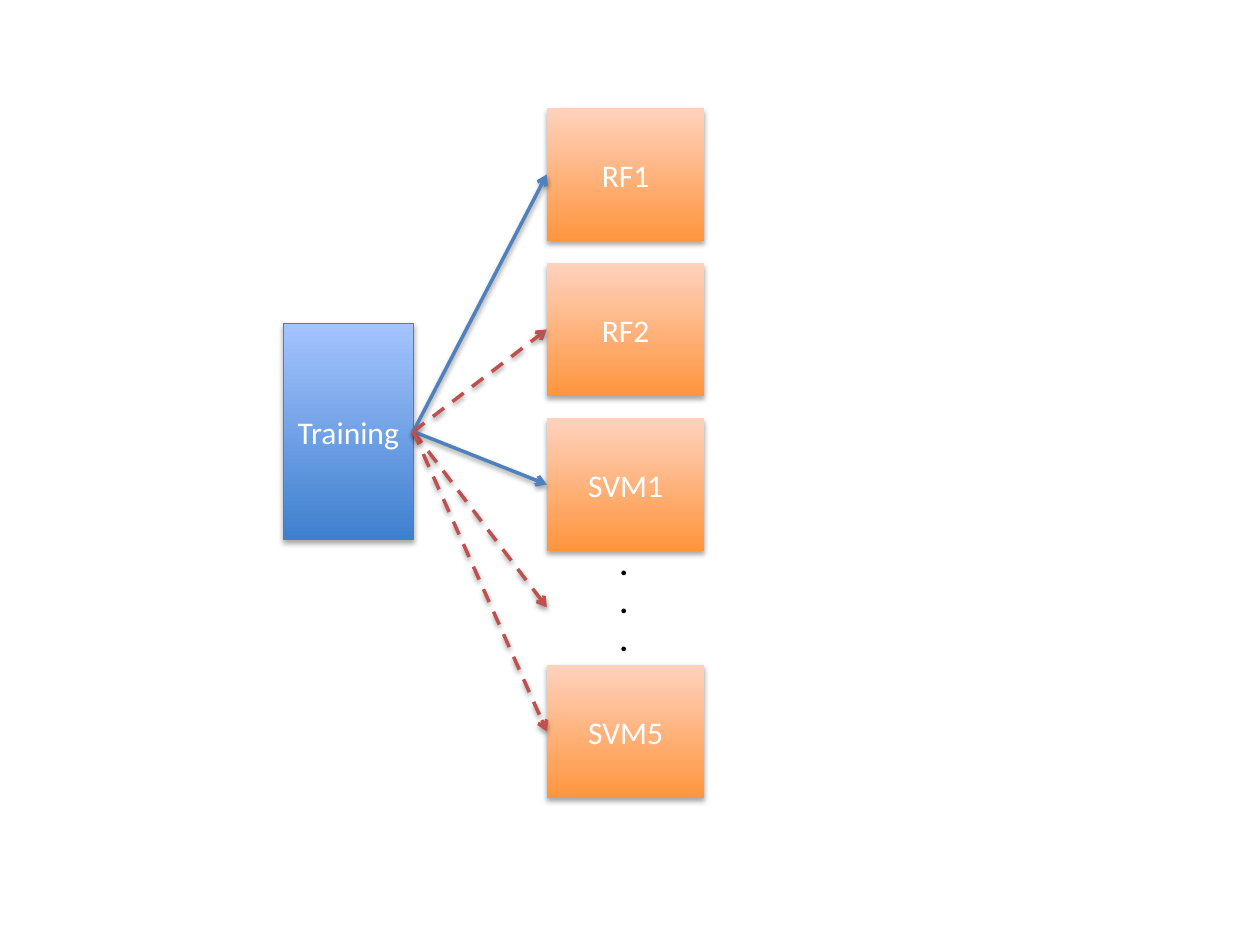
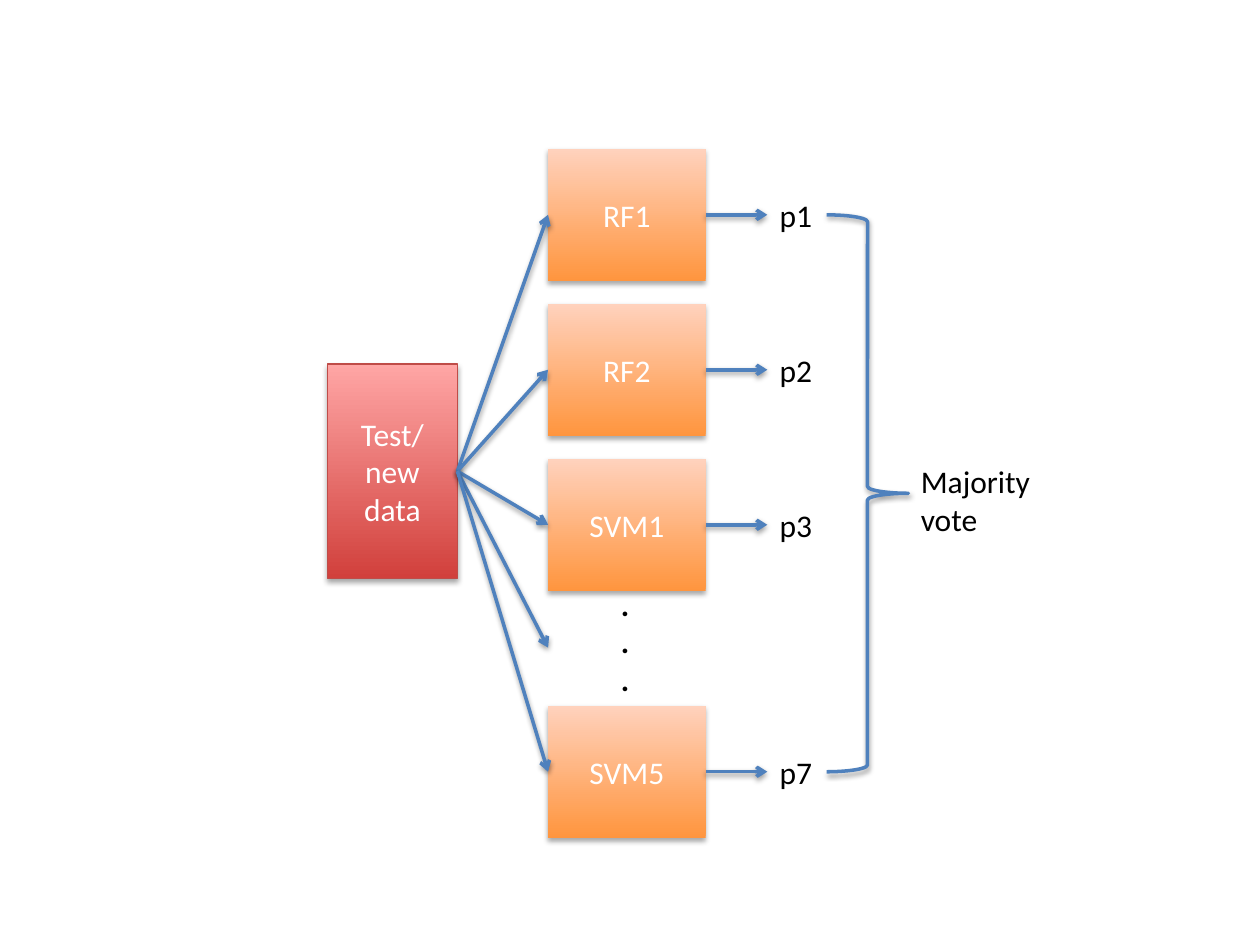
import dataclasses
import pptx
import pptx.util
import pptx.dml.color
import pptx.enum.dml
import pptx.enum.shapes
import pptx.enum.text
import pptx.oxml
import pptx.oxml.ns

Inches = pptx.util.Inches
Pt = pptx.util.Pt
RGB = pptx.dml.color.RGBColor.from_string
SHAPE = pptx.enum.shapes.MSO_SHAPE
ALIGN = pptx.enum.text.PP_ALIGN
ANCHOR = pptx.enum.text.MSO_ANCHOR
LEFT, RIGHT = 1, 3


@dataclasses.dataclass(frozen=True)
class Theme:
    font: str = "Calibri"
    size: float = 18
    ink: str = "000000"
    light: str = "FFFFFF"
    blue: str = "4F81BD"
    red: str = "C0504D"
    model: tuple = ("FF953E", "FFD2BD", None)
    train: tuple = ("3F80CE", "A4C4FF", "4B7EBC")
    test: tuple = ("D1403C", "FFA6A5", "BF4C48")
    thin: float = 0.75
    thick: float = 2


THEME = Theme()
MODELS = (("RF1", 0), ("RF2", 1.23), ("SVM1", 2.46), ("SVM5", 4.42))
WIDTH, HEIGHT = 1.25, 1.05
DOTS, DOTS_PORT = 3.41, 3.96


def add_shadow(shape, alpha, dist):
    props = shape._element.spPr
    for old in props.findall(pptx.oxml.ns.qn("a:effectLst")):
        props.remove(old)
    props.append(pptx.oxml.parse_xml(
        f'<a:effectLst {pptx.oxml.ns.nsdecls("a")}>'
        f'<a:outerShdw blurRad="{Pt(3.1)}" dist="{Pt(dist)}" dir="5400000" rotWithShape="0">'
        f'<a:srgbClr val="{THEME.ink}"><a:alpha val="{alpha * 1000}"/></a:srgbClr>'
        '</a:outerShdw></a:effectLst>'))


def set_line(line, color, width):
    line.color.rgb = RGB(color)
    line.width = Pt(width)


def write(frame, lines, color, align=ALIGN.LEFT, bold=False):
    frame.text = "\n".join(lines)
    for para in frame.paragraphs:
        para.alignment = align
        para.font.name = THEME.font
        para.font.size = Pt(THEME.size)
        para.font.bold = bold
        para.font.color.rgb = RGB(color)


def add_box(slide, text, left, top, width, height, style):
    low, high, edge = style
    box = slide.shapes.add_shape(
        SHAPE.RECTANGLE, Inches(left), Inches(top), Inches(width), Inches(height))
    box.fill.gradient()
    box.fill.gradient_angle = 90
    for stop, color in zip(box.fill.gradient_stops, (low, high)):
        stop.color.rgb = RGB(color)
    if edge:
        set_line(box.line, edge, THEME.thin)
    else:
        box.line.fill.background()
    add_shadow(box, 35, 1.8)
    box.text_frame.word_wrap = True
    box.text_frame.vertical_anchor = ANCHOR.MIDDLE
    write(box.text_frame, [text], THEME.light, ALIGN.CENTER)
    return box


def add_label(slide, lines, left, top, width, height, wrap=False, bold=False):
    label = slide.shapes.add_textbox(
        Inches(left), Inches(top), Inches(width), Inches(height))
    label.text_frame.word_wrap = wrap
    label.text_frame.auto_size = pptx.enum.text.MSO_AUTO_SIZE.SHAPE_TO_FIT_TEXT
    write(label.text_frame, lines, THEME.ink, bold=bold)


def add_arrow(slide, source, end, target=None, dashed=False):
    start = source.left + source.width, source.top + source.height // 2
    arrow = slide.shapes.add_connector(
        pptx.enum.shapes.MSO_CONNECTOR.STRAIGHT, *start, *map(Inches, end))
    arrow.begin_connect(source, RIGHT)
    if target is not None:
        arrow.end_connect(target, LEFT)
    set_line(arrow.line, THEME.red if dashed else THEME.blue, THEME.thick)
    if dashed:
        arrow.line.dash_style = pptx.enum.dml.MSO_LINE.DASH
    arrow.line._get_or_add_ln().append(pptx.oxml.parse_xml(
        f'<a:tailEnd {pptx.oxml.ns.nsdecls("a")} type="arrow"/>'))
    add_shadow(arrow, 38, 1.6)


def add_models(slide, left, top):
    boxes = [add_box(slide, name, left, top + drop, WIDTH, HEIGHT, THEME.model)
             for name, drop in MODELS]
    add_label(slide, ["."] * 3, left + 0.48, top + DOTS, 0.27, 1.01, bold=True)
    return boxes


def add_fan(slide, source, boxes, left, top, dashed=()):
    ports = [(drop + HEIGHT / 2, box) for (_, drop), box in zip(MODELS, boxes)]
    ports.insert(3, (DOTS_PORT, None))
    for index, (drop, box) in enumerate(ports):
        add_arrow(slide, source, (left, top + drop), box, index in dashed)


def add_votes(slide, boxes, left, top):
    stop = left + WIDTH + 0.49
    ports = [top + drop + HEIGHT / 2 for _, drop in MODELS]
    for box, port, name in zip(boxes, ports, ("p1", "p2", "p3", "p7")):
        add_arrow(slide, box, (stop, port))
        add_label(slide, [name], stop, port - 0.2, 0.46, 0.4)
    brace = slide.shapes.add_shape(
        SHAPE.RIGHT_BRACE, Inches(stop + 0.47), Inches(ports[0]),
        Inches(0.65), Inches(ports[-1] - ports[0]))
    brace.fill.background()
    set_line(brace.line, THEME.blue, THEME.thick)
    add_shadow(brace, 38, 1.6)
    add_label(slide, ["Majority vote"], stop + 1.12, top + 2.44, 1.12, 0.71, wrap=True)


def train_slide(slide, left, top):
    source = add_box(slide, "Training", left - 2.09, top + 1.71, 1.03, 1.71, THEME.train)
    boxes = add_models(slide, left, top)
    add_fan(slide, source, boxes, left, top, dashed=(1, 3, 4))


def test_slide(slide, left, top):
    boxes = add_models(slide, left, top)
    source = add_box(slide, "Test/new data", left - 1.75, top + 1.71, 1.03, 1.7, THEME.test)
    add_fan(slide, source, boxes, left, top)
    add_votes(slide, boxes, left, top)


deck = pptx.Presentation()
deck.slide_width, deck.slide_height = Inches(10), Inches(7.5)
blank = deck.slide_layouts[6]
train_slide(deck.slides.add_slide(blank), 4.34, 0.86)
test_slide(deck.slides.add_slide(blank), 4.35, 1.18)
deck.save("out.pptx")
